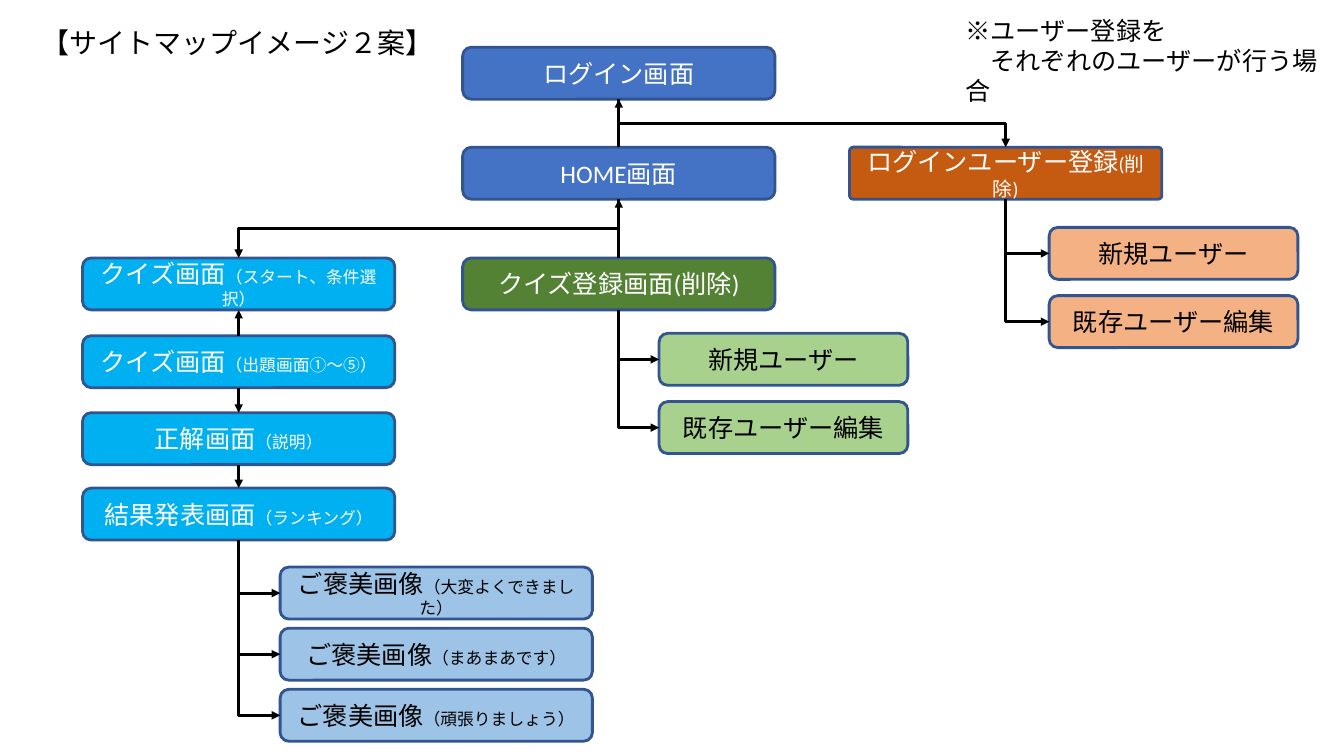
from pptx import Presentation
from pptx.dml.color import RGBColor
from pptx.enum.shapes import MSO_CONNECTOR, MSO_SHAPE
from pptx.enum.text import MSO_ANCHOR, MSO_AUTO_SIZE, PP_ALIGN
from pptx.oxml.ns import qn
from pptx.util import Cm, Pt
from lxml.etree import SubElement

WHITE = RGBColor(0xFF, 0xFF, 0xFF)
BLACK = RGBColor(0x00, 0x00, 0x00)
OUTLINE = RGBColor(0x32, 0x54, 0x90)
BLUE = RGBColor(0x44, 0x72, 0xC4)
CYAN = RGBColor(0x00, 0xB0, 0xF0)
PALE_BLUE = RGBColor(0x9D, 0xC3, 0xE6)
GREEN = RGBColor(0x54, 0x82, 0x35)
PALE_GREEN = RGBColor(0xA9, 0xD1, 0x8E)
ORANGE = RGBColor(0xC5, 0x5A, 0x11)
PALE_ORANGE = RGBColor(0xF4, 0xB1, 0x83)

WIDE, NARROW, HEIGHT = 7.87, 6.27, 1.31
TOP, LEFT, BOTTOM = 0, 1, 2  # connection sites of a box

prs = Presentation()
prs.slide_width, prs.slide_height = Cm(33.87), Cm(19.05)
slide = prs.slides.add_slide(prs.slide_layouts[6])


def format_run(run, size, color, font="Calibri"):
    run.font.size = Pt(size)
    run.font.name = font
    run.font.color.rgb = color


def link(start, start_site, end, end_site, preset=None):
    """Draw an arrow between two boxes; a preset makes it bend, leaving downwards."""
    kind = MSO_CONNECTOR.ELBOW if preset else MSO_CONNECTOR.STRAIGHT
    arrow = slide.shapes.add_connector(kind, 0, 0, 0, 0)
    arrow.begin_connect(start, start_site)
    arrow.end_connect(end, end_site)
    arrow.line.color.rgb = BLACK
    arrow.line.width = Pt(0)
    properties = arrow.element.spPr
    SubElement(properties.find(qn("a:ln")), qn("a:tailEnd"), type="triangle")
    SubElement(properties, qn("a:effectLst"))
    if preset:
        # The frame is turned a quarter, so its sides swap around its centre.
        to_right = arrow.end_x > arrow.begin_x
        center_x = (arrow.begin_x + arrow.end_x) // 2
        center_y = (arrow.begin_y + arrow.end_y) // 2
        arrow.width, arrow.height = arrow.height, arrow.width
        arrow.left = center_x - arrow.width // 2
        arrow.top = center_y - arrow.height // 2
        frame = properties.find(qn("a:xfrm"))
        frame.set("rot", "16200000" if to_right else "5400000")
        frame.set("flipH", "1" if to_right else "0")
        properties.find(qn("a:prstGeom")).set("prst", preset)


# key: left, top, width, fill, text colour, label, detail, detail size
screens = {
    "login": (11.66, 1.19, WIDE, BLUE, WHITE, "ログイン画面", "", 12),
    "home": (11.66, 3.71, WIDE, BLUE, WHITE, "HOME画面", "", 12),
    "quiz_start": (2.08, 6.5, WIDE, CYAN, WHITE, "クイズ画面", "（スタート、条件選択）", 12),
    "user_entry": (21.41, 3.71, WIDE, ORANGE, WHITE, "ログインユーザー登録", "(削除)", 14),
    "quiz_entry": (11.66, 6.5, WIDE, GREEN, WHITE, "クイズ登録画面(削除)", "", 12),
    "question": (2.08, 8.46, WIDE, CYAN, WHITE, "クイズ画面", "（出題画面①～⑤）", 12),
    "answer": (2.08, 10.4, WIDE, CYAN, WHITE, "正解画面", "（説明）", 12),
    "result": (2.08, 12.3, WIDE, CYAN, WHITE, "結果発表画面", "（ランキング）", 12),
    "great": (7.06, 14.29, WIDE, PALE_BLUE, BLACK, "ご褒美画像", "（大変よくできました）", 12),
    "fair": (7.06, 15.83, WIDE, PALE_BLUE, BLACK, "ご褒美画像", "（まあまあです）", 12),
    "effort": (7.06, 17.37, WIDE, PALE_BLUE, BLACK, "ご褒美画像", "（頑張りましょう）", 12),
    "quiz_new": (16.61, 8.4, NARROW, PALE_GREEN, BLACK, "新規ユーザー", "", 12),
    "quiz_edit": (16.61, 10.12, NARROW, PALE_GREEN, BLACK, "既存ユーザー編集", "", 12),
    "user_new": (26.44, 5.73, NARROW, PALE_ORANGE, BLACK, "新規ユーザー", "", 12),
    "user_edit": (26.44, 7.45, NARROW, PALE_ORANGE, BLACK, "既存ユーザー編集", "", 12),
}
boxes = {}
for key, (left, top, width, fill, color, label, detail, detail_size) in screens.items():
    box = slide.shapes.add_shape(
        MSO_SHAPE.ROUNDED_RECTANGLE, Cm(left), Cm(top), Cm(width), Cm(HEIGHT))
    box.shadow.inherit = False
    box.fill.solid()
    box.fill.fore_color.rgb = fill
    box.line.color.rgb = OUTLINE
    box.line.width = Pt(2)
    box.text_frame.word_wrap = True
    box.text_frame.vertical_anchor = MSO_ANCHOR.MIDDLE
    paragraph = box.text_frame.paragraphs[0]
    paragraph.text = label
    paragraph.alignment = PP_ALIGN.CENTER
    format_run(paragraph.runs[0], 18, color)
    if detail:
        detail_run = paragraph.add_run()
        detail_run.text = detail
        format_run(detail_run, detail_size, color)
    boxes[key] = box
boxes["user_entry"].adjustments[0] = 0.07

for lower, upper in (("home", "login"), ("quiz_entry", "home"), ("question", "quiz_start")):
    link(boxes[lower], TOP, boxes[upper], BOTTOM)
for upper, lower in (("question", "answer"), ("answer", "result")):
    link(boxes[upper], BOTTOM, boxes[lower], TOP)
for upper, lower in (("login", "user_entry"), ("home", "quiz_start")):
    link(boxes[upper], BOTTOM, boxes[lower], TOP, "bentConnector3")

branches = {
    "result": ("great", "fair", "effort"),
    "quiz_entry": ("quiz_new", "quiz_edit"),
    "user_entry": ("user_new", "user_edit"),
}
for parent, children in branches.items():
    for child in children:
        link(boxes[parent], BOTTOM, boxes[child], LEFT, "bentConnector2")

title = slide.shapes.add_textbox(Cm(0.79), Cm(0.51), Cm(12.01), Cm(1.09)).text_frame
title.word_wrap = True
title.text = "【サイトマップイメージ２案】"
format_run(title.paragraphs[0].runs[0], 20, BLACK)

note = slide.shapes.add_textbox(Cm(24.08), Cm(0.25), Cm(10.01), Cm(2.08)).text_frame
note.word_wrap = False
note.auto_size = MSO_AUTO_SIZE.SHAPE_TO_FIT_TEXT
note.text = "※ユーザー登録を\n　それぞれのユーザーが行う場合"
for line in note.paragraphs:
    format_run(line.runs[0], 18, BLACK, "Arial")

prs.save("out.pptx")
